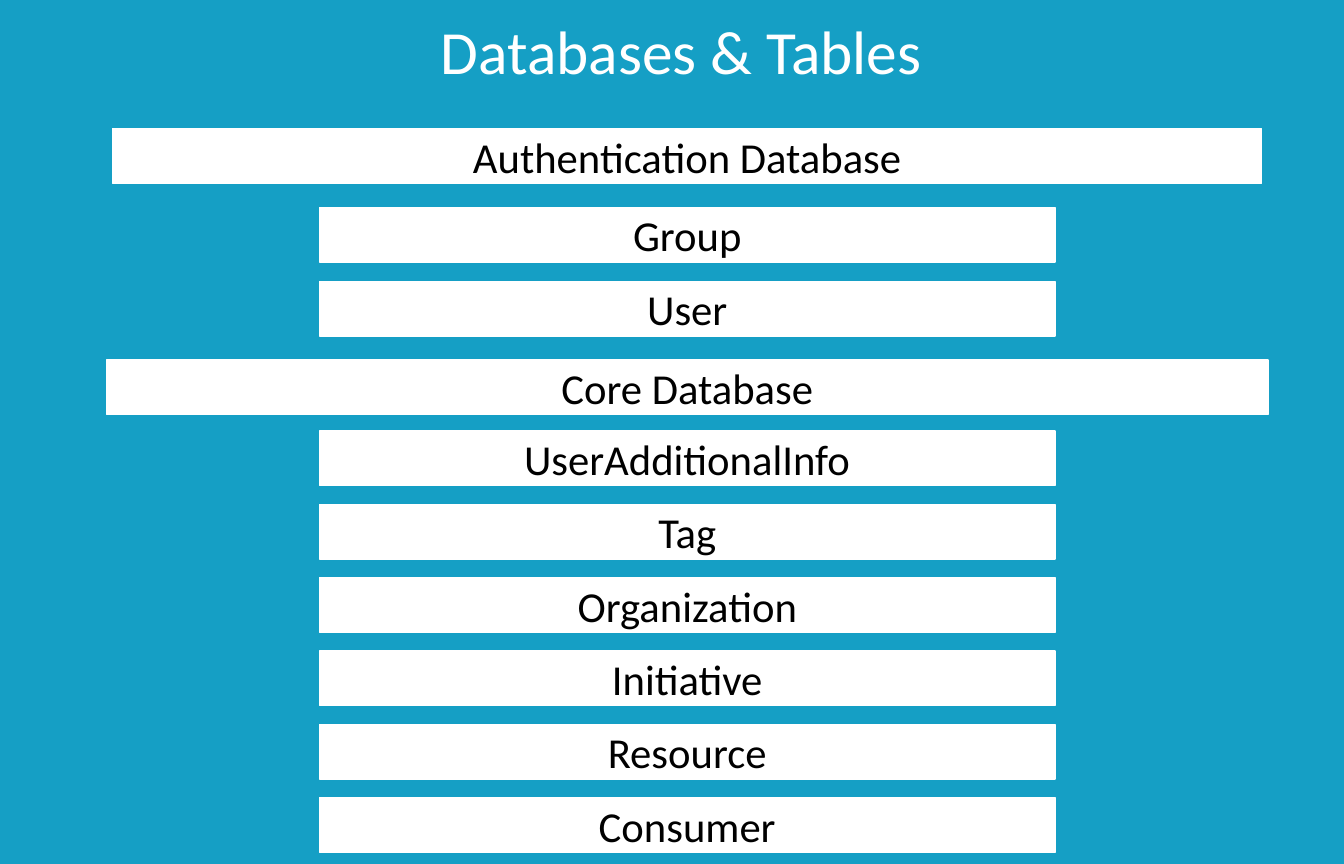
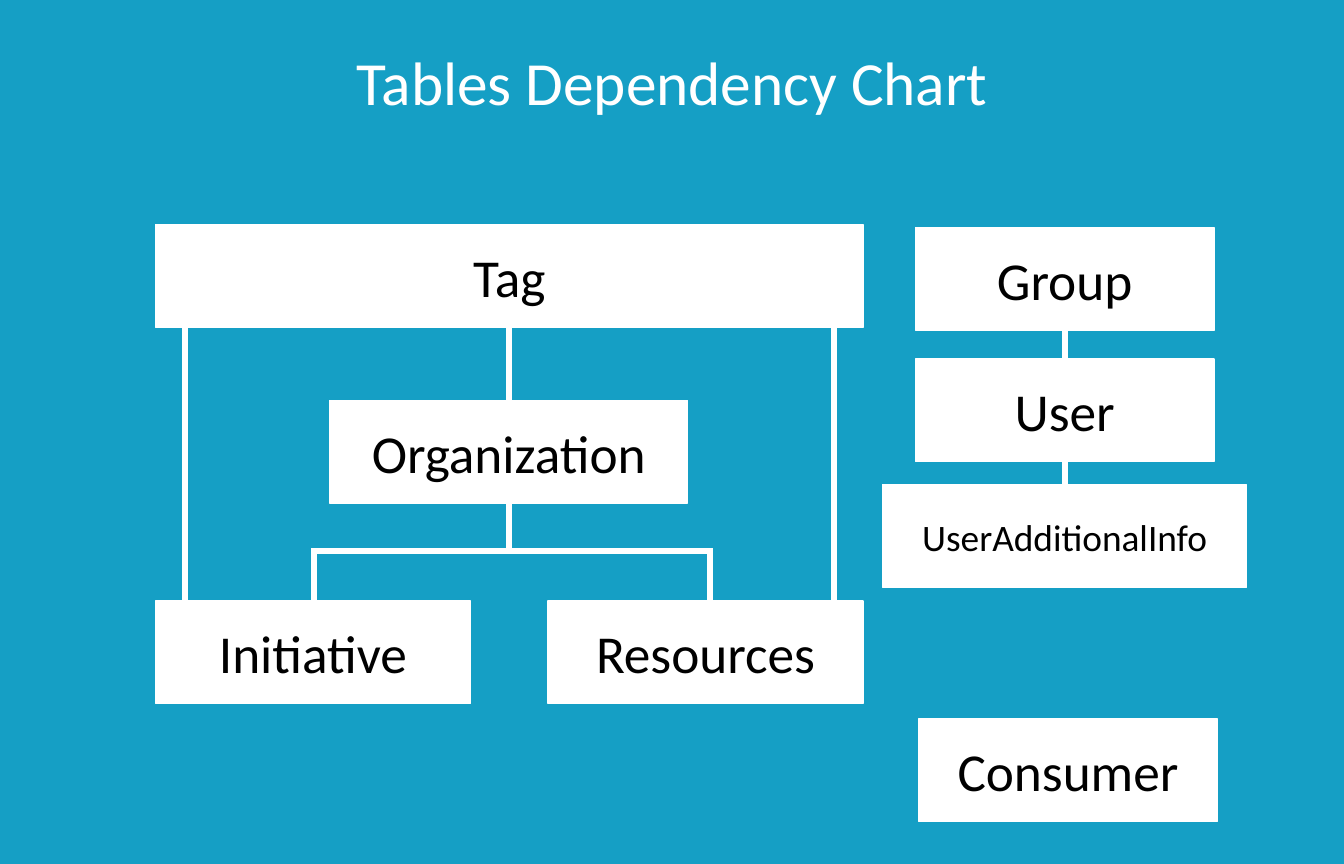
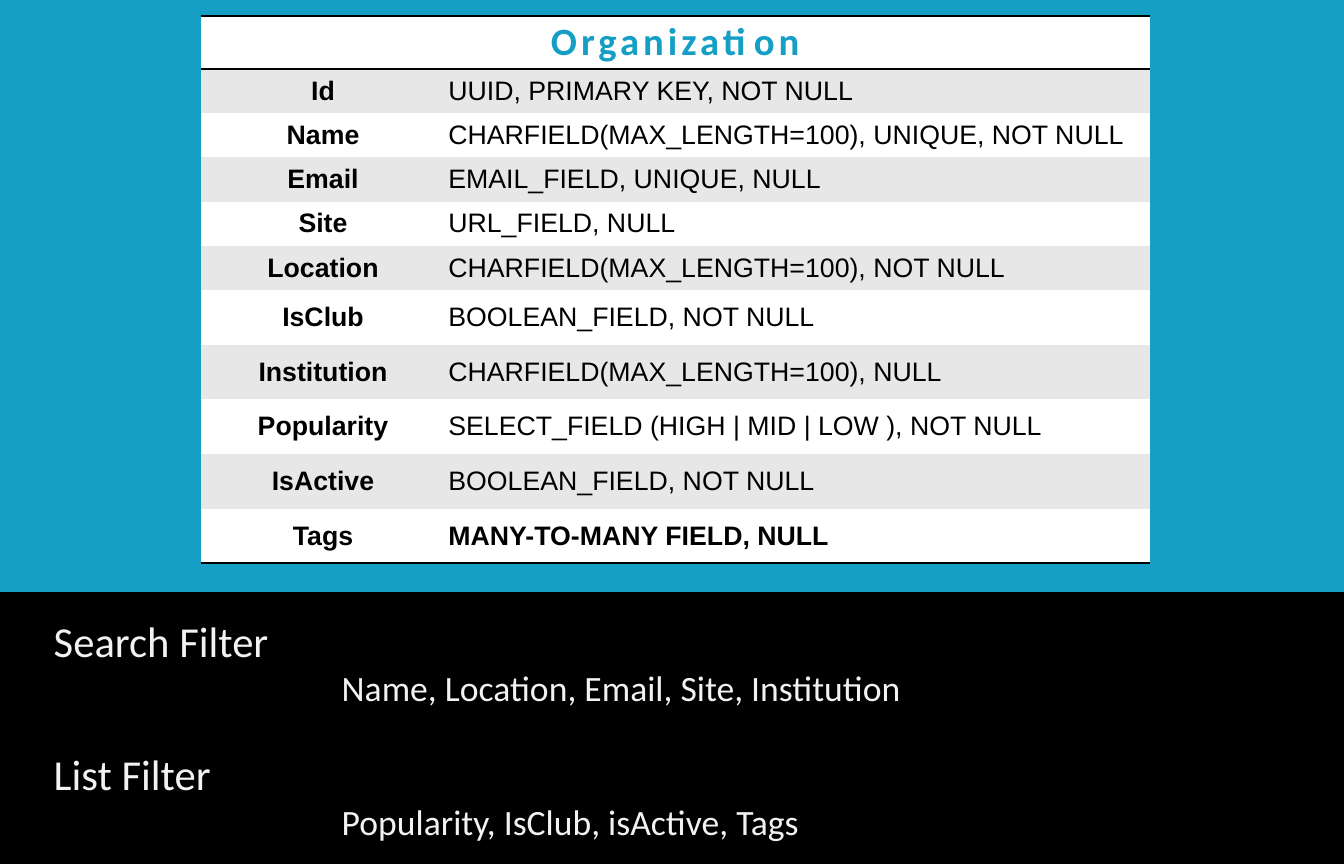
from lxml import etree
from pptx import Presentation
from pptx.dml.color import RGBColor
from pptx.enum.shapes import MSO_CONNECTOR, MSO_SHAPE
from pptx.enum.text import MSO_ANCHOR, MSO_AUTO_SIZE, PP_ALIGN
from pptx.oxml.ns import qn
from pptx.util import Inches, Pt

RECT = MSO_SHAPE.RECTANGLE
STRAIGHT = MSO_CONNECTOR.STRAIGHT
MIDDLE, TOP = MSO_ANCHOR.MIDDLE, MSO_ANCHOR.TOP
CENTER, LEFT = PP_ALIGN.CENTER, PP_ALIGN.LEFT
NO_FIT = MSO_AUTO_SIZE.NONE

TEAL = RGBColor(0x15, 0x9F, 0xC5)
WHITE = RGBColor(0xFF, 0xFF, 0xFF)
BLACK = RGBColor(0x00, 0x00, 0x00)
BAND_GREY = RGBColor(0xE7, 0xE7, 0xE7)
PALE = RGBColor(0xF2, 0xF2, 0xF2)

PLAIN_TABLE = "{2D5ABB26-0587-4C30-8999-92F81FD0307C}"
TITLE_AND_BODY, TITLE_ONLY = 1, 5

FIELDS = [
    ("Id", "UUID, PRIMARY KEY, NOT NULL"),
    ("Name", "CHARFIELD(MAX_LENGTH=100), UNIQUE, NOT NULL"),
    ("Email", "EMAIL_FIELD, UNIQUE, NULL"),
    ("Site", "URL_FIELD, NULL"),
    ("Location", "CHARFIELD(MAX_LENGTH=100), NOT NULL"),
    ("IsClub", "BOOLEAN_FIELD, NOT NULL"),
    ("Institution", "CHARFIELD(MAX_LENGTH=100), NULL"),
    ("Popularity", "SELECT_FIELD (HIGH | MID | LOW ), NOT NULL"),
    ("IsActive", "BOOLEAN_FIELD, NOT NULL"),
    ("Tags", "MANY-TO-MANY FIELD, NULL"),
]
FILTERS = [
    ("Search Filter", "Name, Location, Email, Site, Institution"),
    ("List Filter", "Popularity, IsClub, isActive, Tags"),
]


def write(p, text, size, color=BLACK, font="Calibri", bold=False, align=CENTER, spacing=0):
    """Add one formatted run to a paragraph."""
    p.alignment = align
    r = p.add_run()
    r.text = text
    r.font.size, r.font.name, r.font.bold = Pt(size), font, bold
    r.font.color.rgb = color
    if spacing:
        r.font._element.set("spc", str(spacing * 100))


def set_frame(tf, anchor=MIDDLE):
    """Give a text frame thin margins and a fixed size."""
    tf.word_wrap, tf.auto_size, tf.vertical_anchor = True, NO_FIT, anchor
    tf.margin_left = tf.margin_right = Inches(0.03)
    tf.margin_top = tf.margin_bottom = Inches(0.02)


def place(sp, x, y, w, h):
    """Move and size a shape in inches."""
    sp.left, sp.top, sp.width, sp.height = map(Inches, (x, y, w, h))


def add_title(slide, text, x, y, w):
    """Fill the title placeholder."""
    sp = slide.shapes.title
    place(sp, x, y, w, 0.81)
    set_frame(sp.text_frame)
    write(sp.text_frame.paragraphs[0], text, 46, WHITE)


def add_box(slide, x, y, w, h, text="", size=32, fill=WHITE):
    """Draw a flat rectangle with an optional centred label."""
    sp = slide.shapes.add_shape(RECT, *map(Inches, (x, y, w, h)))
    sp.shadow.inherit = False
    sp.fill.solid()
    sp.fill.fore_color.rgb = sp.line.color.rgb = fill
    sp.line.width = Pt(1)
    if text:
        set_frame(sp.text_frame)
        write(sp.text_frame.paragraphs[0], text, size)
    return sp


def add_link(slide, x1, y1, x2, y2):
    """Draw a thick white line."""
    line = slide.shapes.add_connector(STRAIGHT, *map(Inches, (x1, y1, x2, y2)))
    line.line.color.rgb = WHITE
    line.line.width = Pt(4.5)
    etree.SubElement(line._element.spPr, qn("a:effectLst"))


def add_database(slide, center, y, w, name, tables, first, last):
    """Draw a database bar with its table bars evenly spaced below."""
    add_box(slide, center - w / 2, y, w, 0.57, name)
    pitch = (last - first) / (len(tables) - 1)
    for i, table in enumerate(tables):
        add_box(slide, center - 7.66 / 2, first + i * pitch, 7.66, 0.57, table)


def add_tag_tree(slide, x, y, w, h, box_h=1.07):
    """Draw the tables that depend on Tag."""
    mid, org_y, leaf_y, leaf_w = x + w / 2, y + 1.83, y + h - box_h, 3.28
    bar_y = leaf_y - 0.52
    add_box(slide, x, y, w, box_h, "Tag", 40)
    add_box(slide, mid - 1.87, org_y, 3.73, box_h, "Organization", 40)
    add_box(slide, x, leaf_y, leaf_w, box_h, "Initiative", 40)
    add_box(slide, x + w - leaf_w, leaf_y, leaf_w, box_h, "Resources", 40)
    for side in (x + 0.31, x + w - 0.3):
        add_link(slide, side, y + box_h, side, leaf_y)
    add_link(slide, mid, y + box_h, mid, org_y)
    add_link(slide, mid, org_y + box_h, mid, bar_y)
    left, right = x + 1.65, x + 5.78
    add_link(slide, left - 0.03, bar_y, right + 0.03, bar_y)
    for branch in (left, right):
        add_link(slide, branch, bar_y, branch, leaf_y)


def add_user_chain(slide, center, y, box_h=1.07):
    """Draw the chain from Group to UserAdditionalInfo."""
    chain = [("Group", 0, 3.11, 40), ("User", 1.37, 3.11, 40),
             ("UserAdditionalInfo", 2.68, 3.79, 28)]
    for i, (text, dy, w, size) in enumerate(chain):
        add_box(slide, center - w / 2, y + dy, w, box_h, text, size)
        if i:
            add_link(slide, center, y + chain[i - 1][1] + box_h, center, y + dy)


def add_rule(cell, edge):
    """Draw a black border on one edge of a cell."""
    ln = etree.SubElement(cell._tc.get_or_add_tcPr(), qn("a:" + edge), w=str(Pt(2)))
    fill = etree.SubElement(ln, qn("a:solidFill"))
    etree.SubElement(fill, qn("a:srgbClr"), val=str(BLACK))


def style_cell(cell, fill, edges=()):
    """Set margins, borders and fill of a cell."""
    cell.margin_left = cell.margin_right = Inches(0.03)
    cell.margin_top = cell.margin_bottom = Inches(0.02)
    cell.vertical_anchor = MIDDLE
    for edge in edges:
        add_rule(cell, edge)
    cell.fill.solid()
    cell.fill.fore_color.rgb = fill


def add_field_table(slide, x, y, name, fields):
    """Draw the table of a model's fields."""
    widths = [2.55, 7.34]
    heights = [0.55] + [0.46] * 5 + [0.57] * 5
    table = slide.shapes.add_table(len(heights), 2, *map(Inches, (
        x, y, sum(widths), sum(heights)))).table
    table._tbl.tblPr[0].text = PLAIN_TABLE
    table.first_row = table.horz_banding = False
    for col, w in zip(table.columns, widths):
        col.width = Inches(w)
    for row, h in zip(table.rows, heights):
        row.height = Inches(h)
    for cell in table.rows[0].cells:
        style_cell(cell, WHITE, ("lnT", "lnB"))
    head = table.cell(0, 0)
    head.merge(table.cell(0, 1))
    write(head.text_frame.paragraphs[0], name, 29, TEAL, bold=True, spacing=3)
    for i, (field, kind) in enumerate(fields, 1):
        last = i == len(fields)
        for j, text in enumerate((field, kind)):
            cell = table.cell(i, j)
            style_cell(cell, BAND_GREY if i % 2 else WHITE, ("lnB",) if last else ())
            write(cell.text_frame.paragraphs[0], text, 20, font="Arial",
                  bold=j == 0 or last, align=LEFT if j else CENTER)


def add_filters(slide, y, h, filters):
    """Draw the black band with the filter list."""
    band = add_box(slide, 0, y, 14, h, fill=BLACK)
    body = slide.placeholders[1]
    band._element.addnext(body._element)
    place(body, 0.53, y + 0.21, 9.72, h - 0.37)
    tf = body.text_frame
    set_frame(tf, TOP)
    for i, pair in enumerate(filters):
        for j, text in enumerate(pair):
            p = tf.add_paragraph() if i or j else tf.paragraphs[0]
            p.space_before = Pt(30 if i and not j else 0)
            pPr = p._p.get_or_add_pPr()
            pPr.set("marL", str(Inches(3 * j)))
            pPr.set("indent", "0")
            etree.SubElement(pPr, qn("a:buNone"))
            write(p, text, 26.7 if j else 32, PALE, align=LEFT)


def build_databases(prs):
    """Build the slide that lists databases and tables."""
    slide = prs.slides.add_slide(prs.slide_layouts[TITLE_ONLY])
    add_title(slide, "Databases & Tables", 4.1, 0.12, 5.99)
    add_database(slide, 7.16, 1.34, 11.97, "Authentication Database",
                 ["Group", "User"], 2.16, 2.93)
    add_database(slide, 7.16, 3.75, 12.1, "Core Database",
                 ["UserAdditionalInfo", "Tag", "Organization", "Initiative",
                  "Resource", "Consumer"], 4.49, 8.31)


def build_dependencies(prs):
    """Build the dependency chart slide."""
    slide = prs.slides.add_slide(prs.slide_layouts[TITLE_ONLY])
    add_title(slide, "Tables Dependency Chart", 3.11, 0.44, 7.78)
    add_tag_tree(slide, 1.62, 2.34, 7.37, 4.99)
    add_user_chain(slide, 11.09, 2.37)
    add_box(slide, 9.57, 7.49, 3.11, 1.07, "Consumer", 40)


def build_organization(prs):
    """Build the slide that describes the Organization table."""
    slide = prs.slides.add_slide(prs.slide_layouts[TITLE_AND_BODY])
    title = slide.shapes.title._element
    title.getparent().remove(title)
    add_field_table(slide, 2.09, 0.17, "Organization", FIELDS)
    add_filters(slide, 6.17, 2.83, FILTERS)


def main():
    """Build and save the presentation."""
    prs = Presentation()
    prs.slide_width, prs.slide_height = Inches(14), Inches(9)
    background = prs.slide_master.background.fill
    background.solid()
    background.fore_color.rgb = TEAL
    build_databases(prs)
    build_dependencies(prs)
    build_organization(prs)
    prs.save("out.pptx")


if __name__ == "__main__":
    main()
